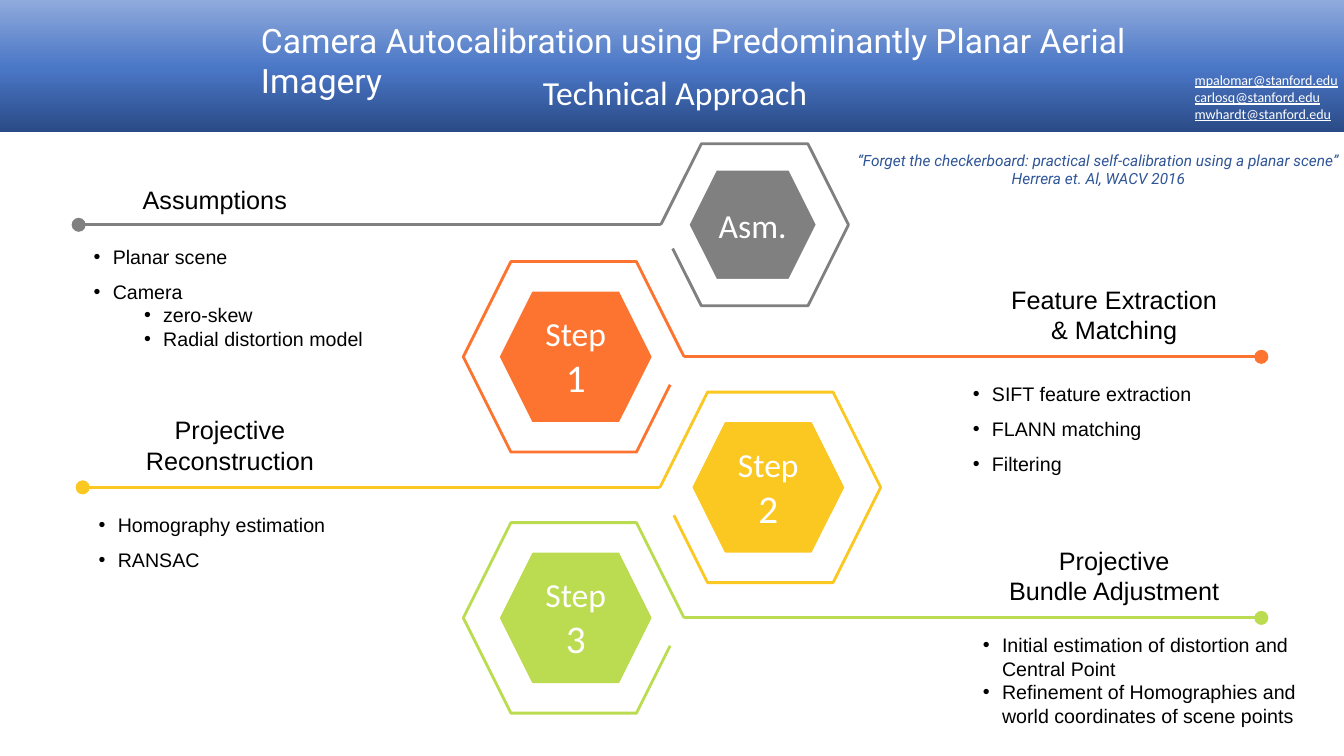
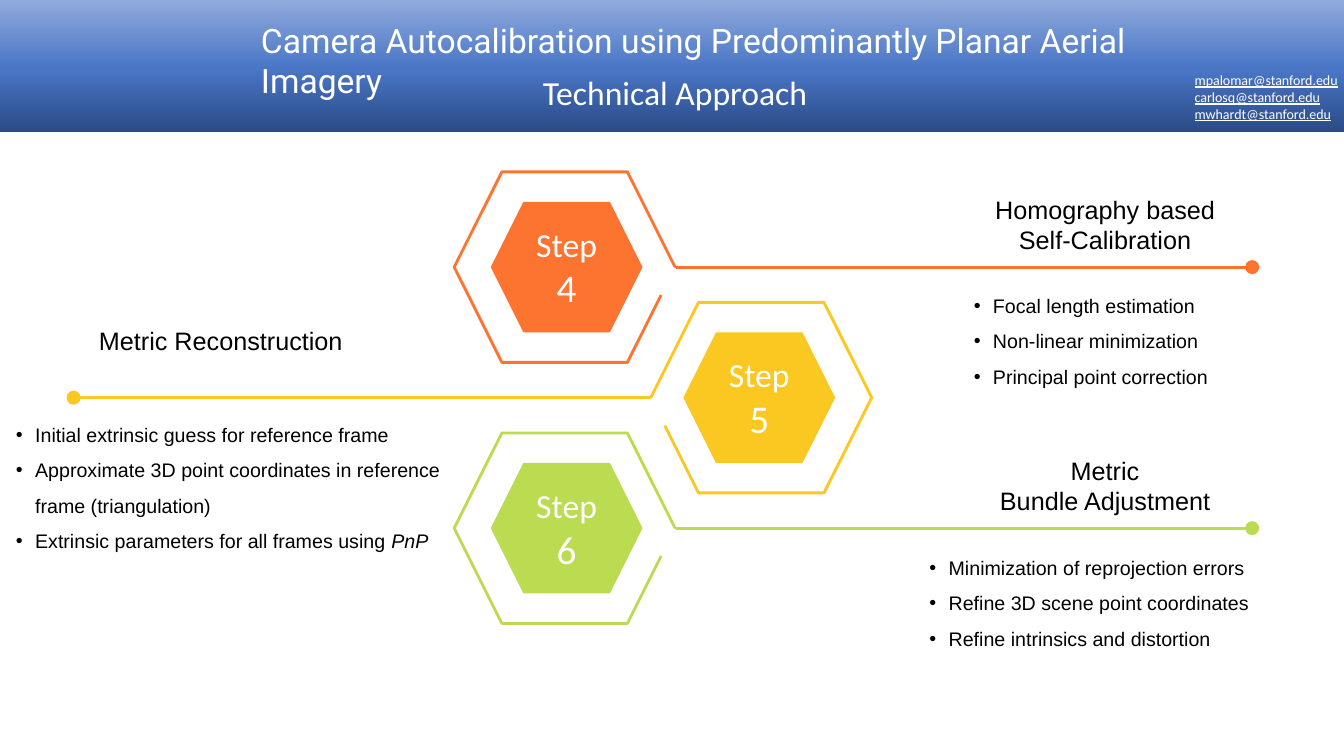
from copy import deepcopy

from lxml import etree
from pptx import Presentation
from pptx.dml.color import RGBColor
from pptx.enum.shapes import MSO_CONNECTOR, MSO_SHAPE
from pptx.enum.text import MSO_ANCHOR, PP_ALIGN
from pptx.oxml.ns import qn
from pptx.util import Inches, Pt

HEXAGON, RECT = MSO_SHAPE.HEXAGON, MSO_SHAPE.RECTANGLE
STRAIGHT = MSO_CONNECTOR.STRAIGHT
LEFT, CENTER = PP_ALIGN.LEFT, PP_ALIGN.CENTER
TOP, MIDDLE = MSO_ANCHOR.TOP, MSO_ANCHOR.MIDDLE

WHITE = RGBColor(0xFF, 0xFF, 0xFF)
BLACK = RGBColor(0, 0, 0)
GRAY = RGBColor(0x80, 0x80, 0x80)
ORANGE = RGBColor(0xFC, 0x74, 0x30)
YELLOW = RGBColor(0xFB, 0xC7, 0x21)
GREEN = RGBColor(0xBB, 0xDC, 0x50)
QUOTE_BLUE = RGBColor(0x2F, 0x55, 0x97)
BAND_STOPS = [
    (0, RGBColor(0x2A, 0x4B, 0x86)),
    (0.48, RGBColor(0x4A, 0x76, 0xC6)),
    (1, RGBColor(0x8F, 0xAA, 0xDC)),
]

TITLE = dict(name="Roboto", size=Pt(24), color=WHITE)
LABEL = dict(name="Calibri", size=Pt(24), color=WHITE)
EMAIL = dict(name="Calibri", size=Pt(10), color=WHITE, underline=True)
QUOTE = dict(name="Roboto", size=Pt(11), color=QUOTE_BLUE, italic=True)
HEADING = dict(name="Arial", size=Pt(18), color=BLACK)
BODY = dict(name="Arial", size=Pt(14), color=BLACK)

RIGHT_SIDE, LEFT_SIDE = 1, -1
ROW_GAP = 1.295
SIDE_GAP = 0.25


def add_run(p, text, style):
    r = p.add_run()
    r.text = text
    for key, value in style.items():
        if key == "color":
            r.font.color.rgb = value
        else:
            setattr(r.font, key, value)


def add_text(s, box, lines, style, align=LEFT):
    tf = s.shapes.add_textbox(*map(Inches, box)).text_frame
    tf.word_wrap = True
    tf.vertical_anchor = TOP
    for i, line in enumerate(lines):
        p = tf.add_paragraph() if i else tf.paragraphs[0]
        p.alignment = align
        add_run(p, line, style)
    return tf


def add_bullets(s, box, items, spacing=1.5):
    tf = s.shapes.add_textbox(*map(Inches, box)).text_frame
    tf.word_wrap = True
    for i, item in enumerate(items):
        level, runs = item if isinstance(item, tuple) else (0, [item])
        p = tf.add_paragraph() if i else tf.paragraphs[0]
        pPr = p._p.get_or_add_pPr()
        pPr.set("marL", str(Inches(0.19 + 0.5 * level)))
        pPr.set("indent", str(-Inches(0.19)))
        etree.SubElement(pPr, qn("a:buFont")).set("typeface", "Arial")
        etree.SubElement(pPr, qn("a:buChar")).set("char", "•")
        p.level = level
        p.line_spacing = 1.0 if level else spacing
        for j, text in enumerate(runs):
            add_run(p, text, dict(BODY, italic=True) if j else BODY)


def add_shape(s, kind, box, fill=None, line=None, width=1):
    sp = s.shapes.add_shape(kind, *map(Inches, box))
    sp.shadow.inherit = False
    for target, color in ((sp.fill, fill), (sp.line.fill, line)):
        if color is None:
            target.background()
        else:
            target.solid()
            target.fore_color.rgb = color
    if line is not None:
        sp.line.width = Pt(width)
    return sp


def add_centered(s, kind, cx, cy, w, h, **fmt):
    return add_shape(s, kind, (cx - w / 2, cy - h / 2, w, h), **fmt)


def add_dotted_line(s, x1, x2, y, color):
    cx = s.shapes.add_connector(STRAIGHT, Inches(x1), Inches(y), Inches(x2), Inches(y))
    cx.line.color.rgb = color
    cx.line.width = Pt(2)
    spPr = cx._element.spPr
    tail = etree.SubElement(spPr.find(qn("a:ln")), qn("a:tailEnd"))
    for key, value in dict(type="oval", w="lg", len="lg").items():
        tail.set(key, value)
    etree.SubElement(spPr, qn("a:effectLst"))


def add_header(s):
    band = add_shape(s, RECT, (0, 0, 13.33, 1.31))
    band.fill.gradient()
    band.fill.gradient_angle = 90
    first = band._element.xpath(".//a:gs")[0]
    first.addnext(deepcopy(first))
    for stop, (position, color) in zip(band.fill.gradient_stops, BAND_STOPS):
        stop.position = position
        stop.color.rgb = color
    add_text(s, (2.49, 0.15, 9.8, 0.5),
             ["Camera Autocalibration using Predominantly Planar Aerial Imagery"], TITLE)
    add_text(s, (5.11, 0.66, 3.17, 0.5), ["Technical Approach"], LABEL, CENTER)
    add_text(s, (11.75, 0.66, 1.72, 0.61),
             ["mpalomar@stanford.edu", "carlosq@stanford.edu", "mwhardt@stanford.edu"], EMAIL)


def add_step(s, x, y, side, color, label, heading, scale=1.0,
             reach=5.72, inset=1.46, rise=0.77, edge=None):
    center = x - side * 1.1 * scale
    hexagon = add_centered(s, HEXAGON, center + side * 0.02, y, 1.49 * scale, 1.28 * scale,
                           fill=color, line=edge or color)
    tf = hexagon.text_frame
    tf.word_wrap = True
    tf.vertical_anchor = MIDDLE
    p = tf.paragraphs[0]
    p.alignment = CENTER
    for text, size in label:
        add_run(p, text, dict(LABEL, size=Pt(size)))
    add_centered(s, HEXAGON, center, y, 2.19 * scale, 1.89 * scale, line=color, width=2)
    gap = add_centered(s, RECT, x - side * 0.06 * scale, y + 0.15 * scale,
                       0.24 * scale, 0.3 * scale, fill=WHITE)
    gap.rotation = side * 26.7 % 360
    end = x + side * reach
    add_dotted_line(s, x, end, y, color)
    add_text(s, (end - side * inset - 2.11, y - rise, 4.22, 0.71), heading, HEADING, CENTER)


def add_steps(s, x, y, first, headings):
    layout = [(RIGHT_SIDE, ORANGE), (LEFT_SIDE, YELLOW), (RIGHT_SIDE, GREEN)]
    for i, ((side, color), heading) in enumerate(zip(layout, headings)):
        label = [("Step", 24), (" ", 12), (str(first + i), 28)]
        start = x if side == RIGHT_SIDE else x - SIDE_GAP
        add_step(s, start, y + i * ROW_GAP, side, color, label, heading)


def build_first(s):
    add_header(s)
    add_steps(s, 6.79, 3.54, 1, [
        ["Feature Extraction", "& Matching"],
        ["Projective", "Reconstruction"],
        ["Projective", "Bundle Adjustment"],
    ])
    add_step(s, 6.55, 2.23, LEFT_SIDE, GRAY, [("Asm.", 24)], ["Assumptions"],
             scale=0.85, reach=5.77, inset=1.35, rise=0.45, edge=WHITE)
    add_bullets(s, (9.55, 3.62, 2.54, 1.11),
                ["SIFT feature extraction", "FLANN matching", "Filtering"])
    add_bullets(s, (0.88, 4.92, 3.15, 0.76), ["Homography estimation", "RANSAC"])
    add_bullets(s, (9.65, 6.23, 3.38, 1.04), [
        "Initial estimation of distortion and Central Point",
        "Refinement of Homographies and world coordinates of scene points",
    ], spacing=1.0)
    add_bullets(s, (0.83, 2.26, 3.15, 1.28), [
        "Planar scene", "Camera", (1, ["zero-skew"]), (1, ["Radial distortion model"]),
    ])
    add_text(s, (8.39, 1.45, 5.01, 0.47), [
        "“Forget the checkerboard: practical self-calibration using a planar scene”",
        "Herrera et. Al, WACV 2016",
    ], QUOTE, CENTER)


def build_second(s):
    add_header(s)
    add_steps(s, 6.7, 2.65, 4, [
        ["Homography based", "Self-Calibration"],
        ["Metric Reconstruction"],
        ["Metric", "Bundle Adjustment"],
    ])
    add_bullets(s, (9.56, 2.75, 4.22, 1.16), [
        "Focal length estimation", "Non-linear minimization", "Principal point correction",
    ])
    add_bullets(s, (0.06, 4.03, 4.51, 1.7), [
        "Initial extrinsic guess for reference frame",
        "Approximate 3D point coordinates in reference frame (triangulation)",
        (0, ["Extrinsic parameters for all frames using ", "PnP"]),
    ])
    add_bullets(s, (9.12, 5.35, 4.22, 1.16), [
        "Minimization of reprojection errors",
        "Refine 3D scene point coordinates",
        "Refine intrinsics and distortion",
    ])


def main():
    prs = Presentation()
    prs.slide_width, prs.slide_height = Inches(13.33), Inches(7.5)
    for build in (build_first, build_second):
        build(prs.slides.add_slide(prs.slide_layouts[6]))
    prs.save("out.pptx")


if __name__ == "__main__":
    main()
